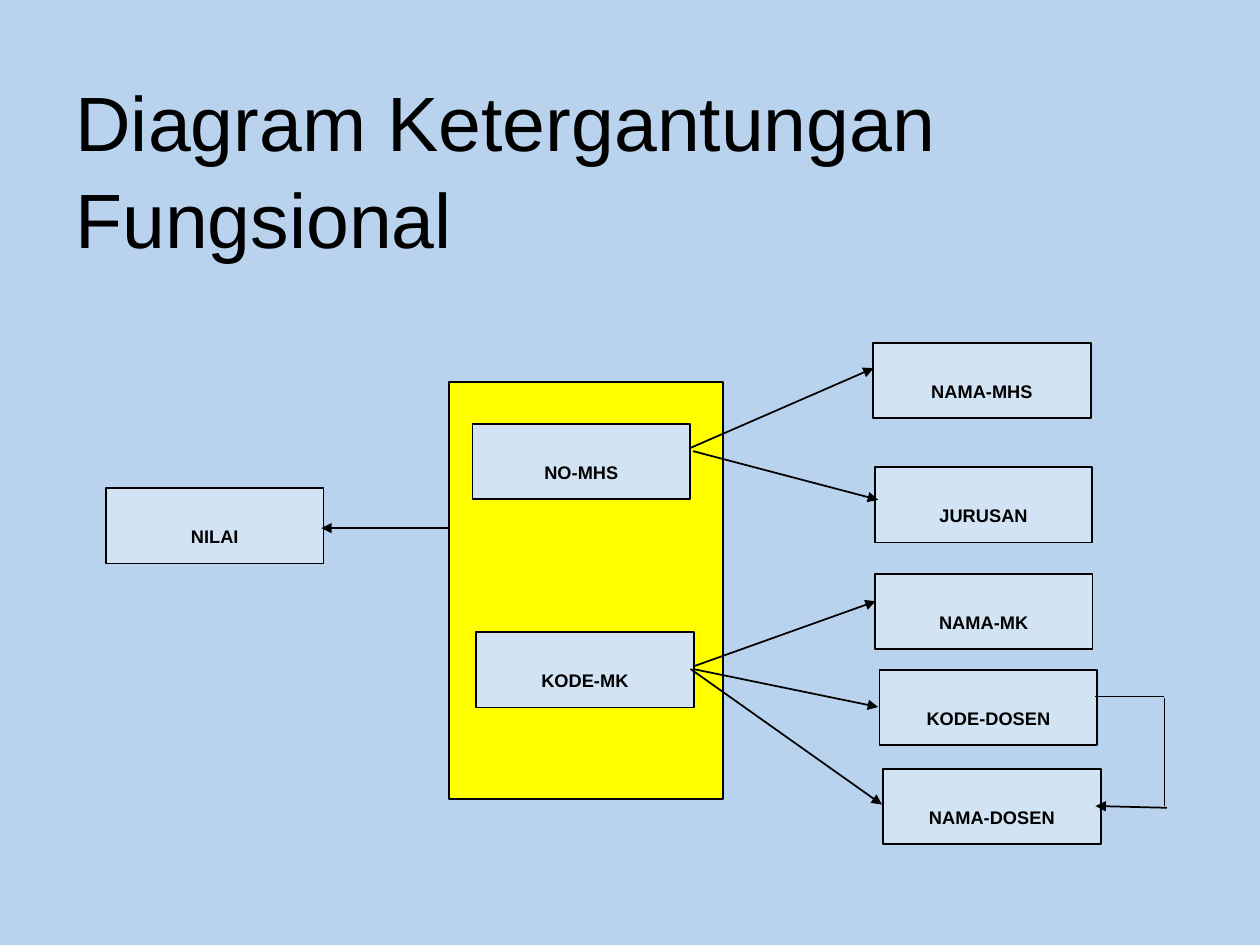
from pptx import Presentation
from pptx.dml.color import RGBColor
from pptx.enum.shapes import MSO_CONNECTOR, MSO_SHAPE
from pptx.enum.text import MSO_ANCHOR, PP_ALIGN
from pptx.oxml.ns import qn
from pptx.util import Pt
from lxml import etree

RECT, STRAIGHT = MSO_SHAPE.RECTANGLE, MSO_CONNECTOR.STRAIGHT
MIDDLE, CENTER = MSO_ANCHOR.MIDDLE, PP_ALIGN.CENTER

THEME = {
    "font": "Arial",
    "ink": RGBColor(0x00, 0x00, 0x00),
    "background": RGBColor(0xB9, 0xD3, 0xEE),
    "attribute": RGBColor(0xD2, 0xE3, 0xF4),
    "key": RGBColor(0xFF, 0xFF, 0x00),
    "title_size": Pt(44),
    "label_size": Pt(18),
    "line": Pt(1),
}
TITLE = "Diagram Ketergantungan Fungsional"
TITLE_BOX = (36, 50.4, 648, 90)
KEY_BOX = (256.4, 218.2, 156.8, 238.2)
ATTRIBUTE_SIZE = (124.4, 43.1)
ATTRIBUTES = [
    ("NILAI", 60.5, 279),
    ("NO-MHS", 270, 242.2),
    ("KODE-MK", 272, 361.3),
    ("NAMA-MHS", 498.9, 196),
    ("JURUSAN", 499.8, 267),
    ("NAMA-MK", 499.9, 328),
    ("KODE-DOSEN", 502.6, 382.8),
    ("NAMA-DOSEN", 504.6, 439.4),
]
ARROWS = [
    ((256.4, 301.8), (183.6, 301.8)),
    ((393.8, 256.3), (499.2, 210.4)),
    ((396, 257.8), (501.8, 285.6)),
    ((396, 380.9), (500.4, 343.6)),
    ((396, 382.3), (501.8, 404)),
    ((394.6, 382.3), (504, 459.8)),
    ((666.8, 461.6), (626, 460.6)),
]
LINES = [
    ((665.4, 460.6), (665.4, 398.9)),
    ((665.4, 398), (626, 398)),
]


def add_box(s, box, fill):
    sp = s.shapes.add_shape(RECT, *map(Pt, box))
    sp.shadow.inherit = False
    sp.fill.solid()
    sp.fill.fore_color.rgb = fill
    sp.line.color.rgb = THEME["ink"]
    sp.line.width = THEME["line"]
    return sp


def add_text(sp, text, size, bold=False):
    tf = sp.text_frame
    tf.vertical_anchor = MIDDLE
    p = tf.paragraphs[0]
    r = p.add_run()
    r.text = text
    p.font.name = THEME["font"]
    p.font.size = size
    p.font.bold = bold
    p.font.color.rgb = THEME["ink"]
    return p, r


def add_attribute(s, name, left, top):
    sp = add_box(s, (left, top, *ATTRIBUTE_SIZE), THEME["attribute"])
    p, r = add_text(sp, name, THEME["label_size"], True)
    sp.text_frame.word_wrap = False
    p.alignment = CENTER
    r._r.get_or_add_rPr().set("baseline", "-25000")


def add_line(s, start, end, arrow):
    cx = s.shapes.add_connector(STRAIGHT, *map(Pt, start + end))
    cx.line.color.rgb = THEME["ink"]
    cx.line.width = THEME["line"]
    if arrow:
        ln = cx.line._get_or_add_ln()
        etree.SubElement(ln, qn("a:tailEnd"), type="triangle")
    etree.SubElement(cx._element.spPr, qn("a:effectLst"))


def main():
    """Build the functional dependency diagram slide."""
    prs = Presentation()
    prs.slide_width, prs.slide_height = Pt(720), Pt(540)
    s = prs.slides.add_slide(prs.slide_layouts[6])
    s.background.fill.solid()
    s.background.fill.fore_color.rgb = THEME["background"]

    title = s.shapes.add_textbox(*map(Pt, TITLE_BOX))
    title.text_frame.word_wrap = True
    p, _ = add_text(title, TITLE, THEME["title_size"])
    p.line_spacing = 1.05

    add_box(s, KEY_BOX, THEME["key"])
    for attribute in ATTRIBUTES:
        add_attribute(s, *attribute)
    for arrow, segments in ((True, ARROWS), (False, LINES)):
        for start, end in segments:
            add_line(s, start, end, arrow)

    prs.save("out.pptx")


if __name__ == "__main__":
    main()
